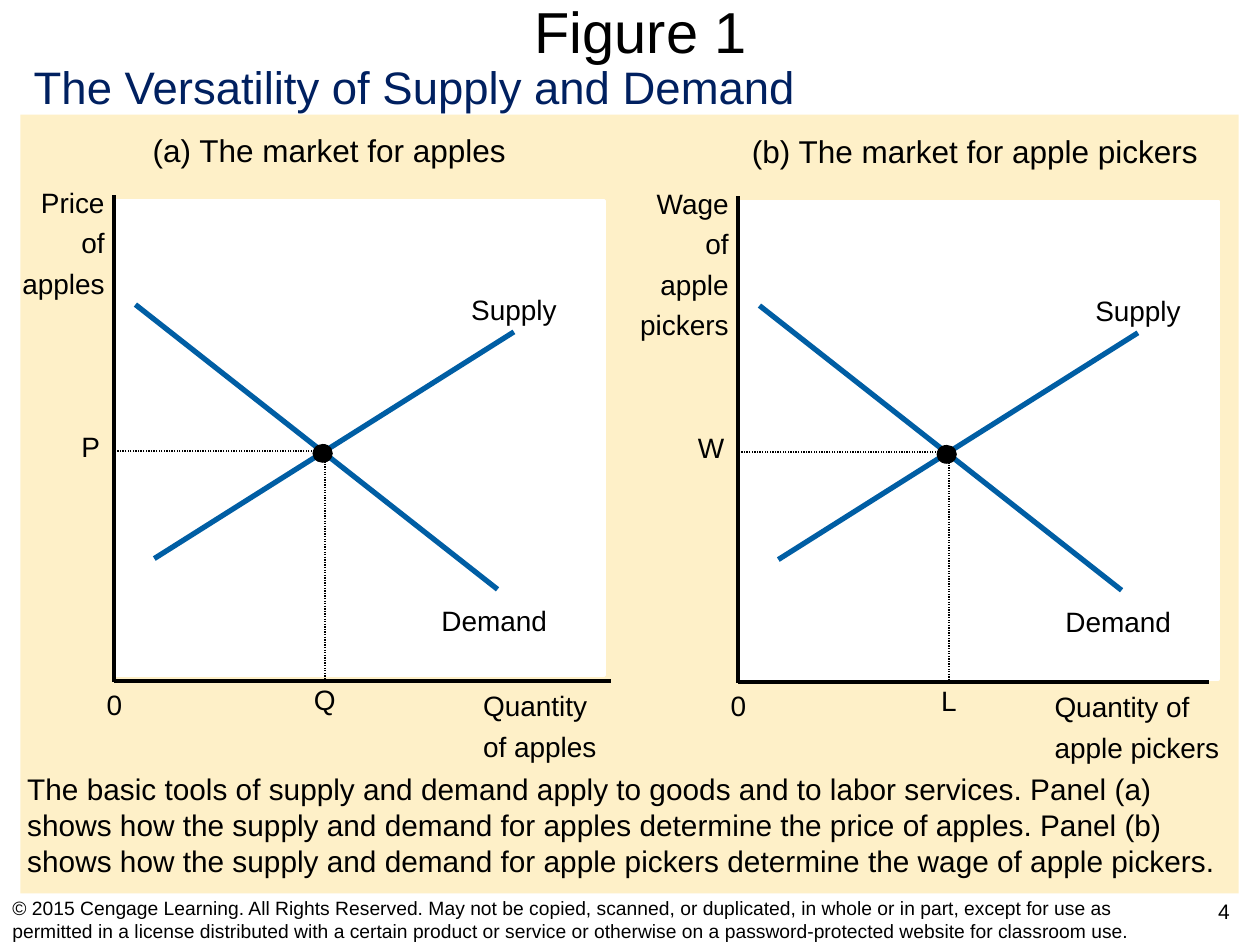
from dataclasses import dataclass

from pptx import Presentation
from pptx.dml.color import RGBColor
from pptx.enum.dml import MSO_LINE
from pptx.enum.shapes import MSO_CONNECTOR, MSO_SHAPE
from pptx.enum.text import MSO_ANCHOR, MSO_AUTO_SIZE, PP_ALIGN
from pptx.oxml.ns import qn
from pptx.util import Cm, Pt


@dataclass(frozen=True)
class Theme:
    """Colours, font and type sizes of the deck."""

    font: str = "Arial"
    ink: str = "000000"
    heading: str = "002060"
    paper: str = "FFFFFF"
    backdrop: str = "FEF0C8"
    curve: str = "005EA4"
    title_size: float = 33
    heading_size: float = 26
    panel_size: float = 18
    body_size: float = 17
    label_size: float = 16
    number_size: float = 12
    footer_size: float = 11


@dataclass(frozen=True)
class Box:
    """A rectangle in centimetres."""

    left: float
    top: float
    width: float
    height: float

    def inner(self, left, top, width, height):
        """Return a box placed relative to this one."""
        return Box(self.left + left, self.top + top, width, height)

    def lengths(self):
        """Return the four lengths for a shape."""
        return Cm(self.left), Cm(self.top), Cm(self.width), Cm(self.height)


@dataclass(frozen=True)
class Market:
    """Wording and label widths of one market panel."""

    title: str
    title_left: float
    price_lines: tuple
    price_width: float
    price: str
    price_mark_width: float
    quantity: str
    quantity_mark_width: float
    quantity_lines: tuple
    quantity_left: float
    quantity_width: float
    axis_end: float


THEME = Theme()
EQUILIBRIUM = (4.22, 5.05)
APPLES = Market("(a) The market for apples", 0.5, ("Price", "of", "apples"), 2.16,
                "P", 0.89, "Q", 0.94, ("Quantity", "of apples"), 7.16, 2.79, 9.98)
PICKERS = Market("(b) The market for apple pickers", 0, ("Wage", "of", "apple", "pickers"), 2.29,
                 "W", 1.04, "L", 0.81, ("Quantity of", "apple pickers"), 6.1, 3.99, 9.47)


def write(frame, *lines, size=THEME.label_size, color=THEME.ink, align=PP_ALIGN.LEFT,
          anchor=MSO_ANCHOR.TOP, wrap=True, fit=MSO_AUTO_SIZE.NONE, space=4):
    """Fill a text frame with one paragraph per line."""
    frame.word_wrap = wrap
    frame.auto_size = fit
    frame.vertical_anchor = anchor
    for index, line in enumerate(lines):
        para = frame.add_paragraph() if index else frame.paragraphs[0]
        para.alignment = align
        para.space_before = Pt(space if index else 0)
        span = para.add_run()
        span.text = line
        span.font.name = THEME.font
        span.font.size = Pt(size)
        span.font.color.rgb = RGBColor.from_string(color)


def add_text(page, box, *lines, **format):
    """Add a text box."""
    write(page.shapes.add_textbox(*box.lengths()).text_frame, *lines, **format)


def add_label(page, box, left, top, width, *lines, **format):
    """Add a diagram label whose height follows its number of lines."""
    place = box.inner(left, top, width, 0.1 + 0.82 * len(lines))
    add_text(page, place, *lines, wrap=False, fit=MSO_AUTO_SIZE.SHAPE_TO_FIT_TEXT, **format)


def add_filled(page, kind, box, color):
    """Add a preset shape with a flat fill and no outline."""
    shape = page.shapes.add_shape(kind, *box.lengths())
    shape.shadow.inherit = False
    shape.fill.solid()
    shape.fill.fore_color.rgb = RGBColor.from_string(color)
    shape.line.fill.background()
    return shape


def add_line(page, box, start, end, color=THEME.ink, weight=2.25, dash=None):
    """Add a straight line between two points of a box."""
    points = [Cm(value) for x, y in (start, end) for value in (box.left + x, box.top + y)]
    line = page.shapes.add_connector(MSO_CONNECTOR.STRAIGHT, *points)
    line.line.color.rgb = RGBColor.from_string(color)
    line.line.width = Pt(weight)
    if dash:
        line.line.dash_style = dash
    properties = line._element.spPr
    properties.append(properties.makeelement(qn("a:effectLst"), {}))


def add_axes(page, box, market):
    """Draw the plot area, both axes and their names."""
    area = add_filled(page, MSO_SHAPE.RECTANGLE, box, THEME.paper)
    area.line.color.rgb = RGBColor.from_string(THEME.paper)
    area.line.width = Pt(2)
    add_line(page, box, (-0.04, -0.1), (-0.04, 9.7))
    add_line(page, box, (-0.04, 9.68), (market.axis_end, 9.68))
    add_label(page, box, 0.03 - market.price_width, -0.43, market.price_width,
              *market.price_lines, align=PP_ALIGN.RIGHT)
    add_label(page, box, market.quantity_left, 9.72, market.quantity_width, *market.quantity_lines)
    add_label(page, box, -0.43, 9.7, 0.81, "0")


def add_curves(page, box):
    """Draw the supply and demand curves with their names."""
    add_line(page, box, (0.78, 7.22), (8.03, 2.65), THEME.curve, 3)
    add_label(page, box, 6.92, 1.73, 2.24, "Supply")
    add_line(page, box, (0.4, 2.1), (7.7, 7.84), THEME.curve, 3)
    add_label(page, box, 6.32, 8, 2.64, "Demand")


def add_equilibrium(page, box, market):
    """Mark the crossing point and its two guide lines."""
    x, y = EQUILIBRIUM
    for end in ((x, 9.65), (-0.08, y)):
        add_line(page, box, EQUILIBRIUM, end, weight=0.75, dash=MSO_LINE.ROUND_DOT)
    add_filled(page, MSO_SHAPE.OVAL, box.inner(x - 0.25, y - 0.14, 0.41, 0.38), THEME.ink)
    add_label(page, box, x - market.quantity_mark_width / 2, 9.6,
              market.quantity_mark_width, market.quantity)
    add_label(page, box, -0.05 - market.price_mark_width, 4.5,
              market.price_mark_width, market.price)


def add_market(page, box, market):
    """Draw one market panel around its plot area."""
    add_axes(page, box, market)
    add_text(page, box.inner(market.title_left, -1.53, box.width - market.title_left, 1.02),
             market.title, size=THEME.panel_size)
    add_curves(page, box)
    add_equilibrium(page, box, market)


def add_heading(page, box):
    """Place the slide title and the line under it."""
    title = page.shapes.title
    title.left, title.top, title.width, title.height = box.inner(0.89, 0, 24.05, 1.24).lengths()
    write(title.text_frame, "Figure 1", size=THEME.title_size, align=PP_ALIGN.CENTER,
          anchor=MSO_ANCHOR.MIDDLE)
    add_text(page, box.inner(0.43, 1.07, 15.93, 1.37), "The Versatility of Supply and Demand",
             size=THEME.heading_size, color=THEME.heading, wrap=False)


def add_footer(page, box):
    """Place the copyright line and the page number."""
    add_text(page, box.inner(0, 0.05, 23.93, 1.02),
             "© 2015 Cengage Learning. All Rights Reserved. May not be copied, scanned, or "
             "duplicated, in whole or in part, except for use as permitted in a license "
             "distributed with a certain product or service or otherwise on a "
             "password-protected website for classroom use.",
             size=THEME.footer_size, anchor=MSO_ANCHOR.MIDDLE)
    add_text(page, box.inner(23.95, 0, 1.45, 1.04), "4", size=THEME.number_size,
             align=PP_ALIGN.CENTER)


def main():
    """Build the deck and save it."""
    deck = Presentation()
    deck.slide_width, deck.slide_height = Cm(25.4), Cm(19.05)
    page = deck.slides.add_slide(deck.slide_layouts[5])
    add_filled(page, MSO_SHAPE.RECTANGLE, Box(0.41, 2.31, 24.56, 15.7), THEME.backdrop)
    add_heading(page, Box(0, 0, 25.4, 2.31))
    add_market(page, Box(2.33, 4.04, 9.86, 9.58), APPLES)
    add_market(page, Box(14.91, 4.06, 9.65, 9.63), PICKERS)
    add_text(page, Box(0.3, 15.42, 24.97, 2.41),
             "The basic tools of supply and demand apply to goods and to labor services. "
             "Panel (a) shows how the supply and demand for apples determine the price of "
             "apples. Panel (b) shows how the supply and demand for apple pickers determine "
             "the wage of apple pickers.", size=THEME.body_size)
    add_footer(page, Box(0, 17.98, 25.4, 1.07))
    deck.save("out.pptx")


if __name__ == "__main__":
    main()
